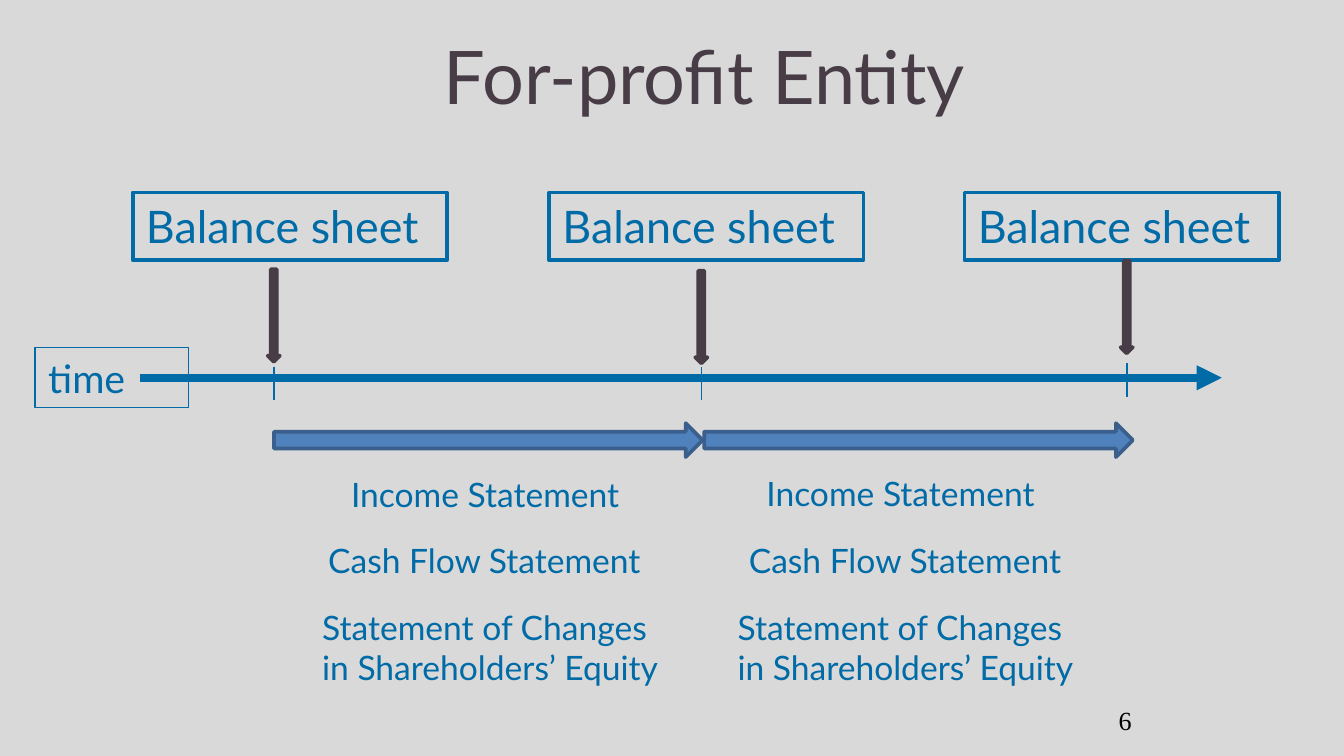
from lxml import etree
from pptx import Presentation
from pptx.dml.color import RGBColor
from pptx.enum.shapes import MSO_CONNECTOR, MSO_SHAPE
from pptx.enum.text import MSO_ANCHOR, PP_ALIGN
from pptx.oxml.ns import qn
from pptx.util import Cm, Pt

RECTANGLE = MSO_SHAPE.RECTANGLE
DOWN_ARROW = MSO_SHAPE.DOWN_ARROW
RIGHT_ARROW = MSO_SHAPE.RIGHT_ARROW
STRAIGHT = MSO_CONNECTOR.STRAIGHT
TOP, MIDDLE = MSO_ANCHOR.TOP, MSO_ANCHOR.MIDDLE
LEFT, CENTER, RIGHT = PP_ALIGN.LEFT, PP_ALIGN.CENTER, PP_ALIGN.RIGHT

COLORS = {
    "background": "D9D9D9",
    "blue": "006BA6",
    "plum": "483C46",
    "arrow": "4F81BD",
    "arrow_edge": "3A5F8C",
    "black": "000000",
}


def color(name):
    return RGBColor.from_string(COLORS[name])


def write_text(shape, text, size=18, font="Lato", ink="blue", align=LEFT, anchor=TOP):
    frame = shape.text_frame
    frame.word_wrap = True
    frame.vertical_anchor = anchor
    frame.text = text
    for paragraph in frame.paragraphs:
        paragraph.alignment = align
        paragraph.font.size = Pt(size)
        paragraph.font.name = font
        paragraph.font.color.rgb = color(ink)


def add_text(slide, box, text, **text_format):
    shape = slide.shapes.add_textbox(*(Cm(length) for length in box))
    write_text(shape, text, **text_format)


def add_shape(slide, kind, box, line, width=2, fill=None):
    shape = slide.shapes.add_shape(kind, *(Cm(length) for length in box))
    shape.shadow.inherit = False
    if fill:
        shape.fill.solid()
        shape.fill.fore_color.rgb = color(fill)
    else:
        shape.fill.background()
    shape.line.color.rgb = color(line)
    shape.line.width = Pt(width)
    return shape


def add_line(slide, start, end, width=0.75, arrow=False):
    connector = slide.shapes.add_connector(STRAIGHT, *(Cm(length) for length in start + end))
    connector.line.color.rgb = color("blue")
    connector.line.width = Pt(width)
    properties = connector.element.spPr
    if arrow:
        etree.SubElement(properties.find(qn("a:ln")), qn("a:tailEnd"), type="triangle")
    etree.SubElement(properties, qn("a:effectLst"))


def add_timeline(slide, box):
    left, top, width, height = box
    label = add_shape(slide, RECTANGLE, (left, top, 2.9, height), "blue", width=0.75)
    write_text(label, "time", size=21)
    axis = top + height / 2
    add_line(slide, (left + 1.98, axis), (left + width, axis), width=4.5, arrow=True)


def add_balance_sheet(slide, box, tick, arrow_top, tick_top):
    label = add_shape(slide, RECTANGLE, box, "blue")
    write_text(label, "Balance sheet", size=24)
    add_line(slide, (tick, tick_top), (tick, tick_top + 0.64))
    add_shape(slide, DOWN_ARROW, (tick - 0.12, arrow_top, 0.23, 1.75), "plum", fill="plum")


def add_period(slide, box, income, cash_flow, changes):
    left, top, width, height = box
    add_shape(slide, RIGHT_ARROW, (left, top, width, 0.64), "arrow_edge", fill="arrow")
    add_text(slide, (*income, 5.94, 1.02), "Income Statement", align=CENTER)
    add_text(slide, (*cash_flow, 6.83, 1.02), "Cash Flow Statement", align=CENTER)
    add_text(slide, (changes, top + height - 1.8, 7.21, 1.8),
             "Statement of Changes\nin Shareholders’ Equity")


def main():
    presentation = Presentation()
    presentation.slide_width = Cm(25.4)
    presentation.slide_height = Cm(14.29)
    slide = presentation.slides.add_slide(presentation.slide_layouts[6])
    slide.background.fill.solid()
    slide.background.fill.fore_color.rgb = color("background")

    add_text(slide, (4.5, 0.51, 17.63, 1.8), "For-profit Entity",
             size=39.6, ink="plum", align=CENTER, anchor=MIDDLE)
    add_timeline(slide, (0.66, 6.57, 22.43, 1.14))
    for left, tick, arrow_top, tick_top in (
        (2.51, 5.18, 5.09, 6.93),
        (10.38, 13.26, 5.12, 6.93),
        (18.23, 21.3, 4.93, 6.86),
    ):
        add_balance_sheet(slide, (left, 3.64, 5.94, 1.28), tick, arrow_top, tick_top)
    add_period(slide, (5.18, 8, 8.1, 5.15), (6.2, 8.84), (5.74, 10.09), 5.84)
    add_period(slide, (13.31, 8, 8.1, 5.15), (14.05, 8.81), (13.69, 10.08), 13.69)
    add_text(slide, (18.21, 13.23, 3.43, 0.76), "6", size=14,
             font="Times New Roman", ink="black", align=RIGHT, anchor=MIDDLE)
    presentation.save("out.pptx")


if __name__ == "__main__":
    main()
